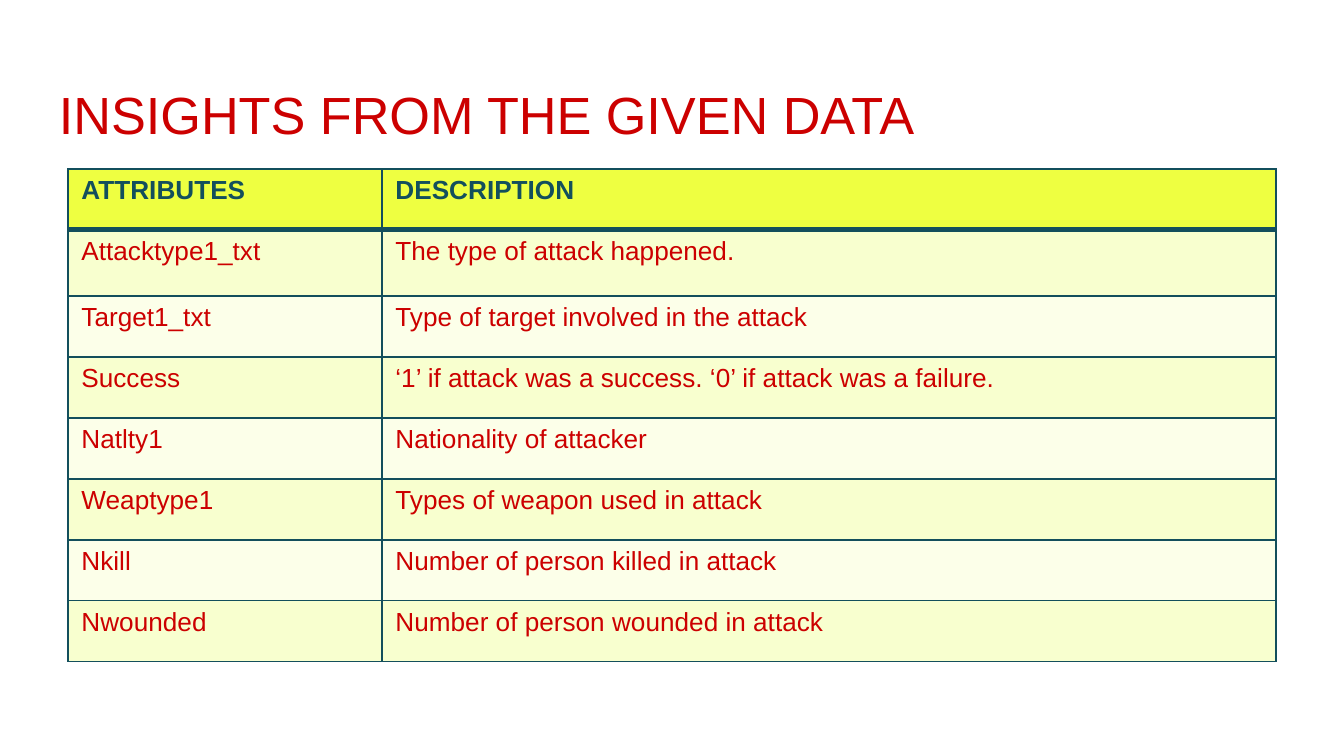
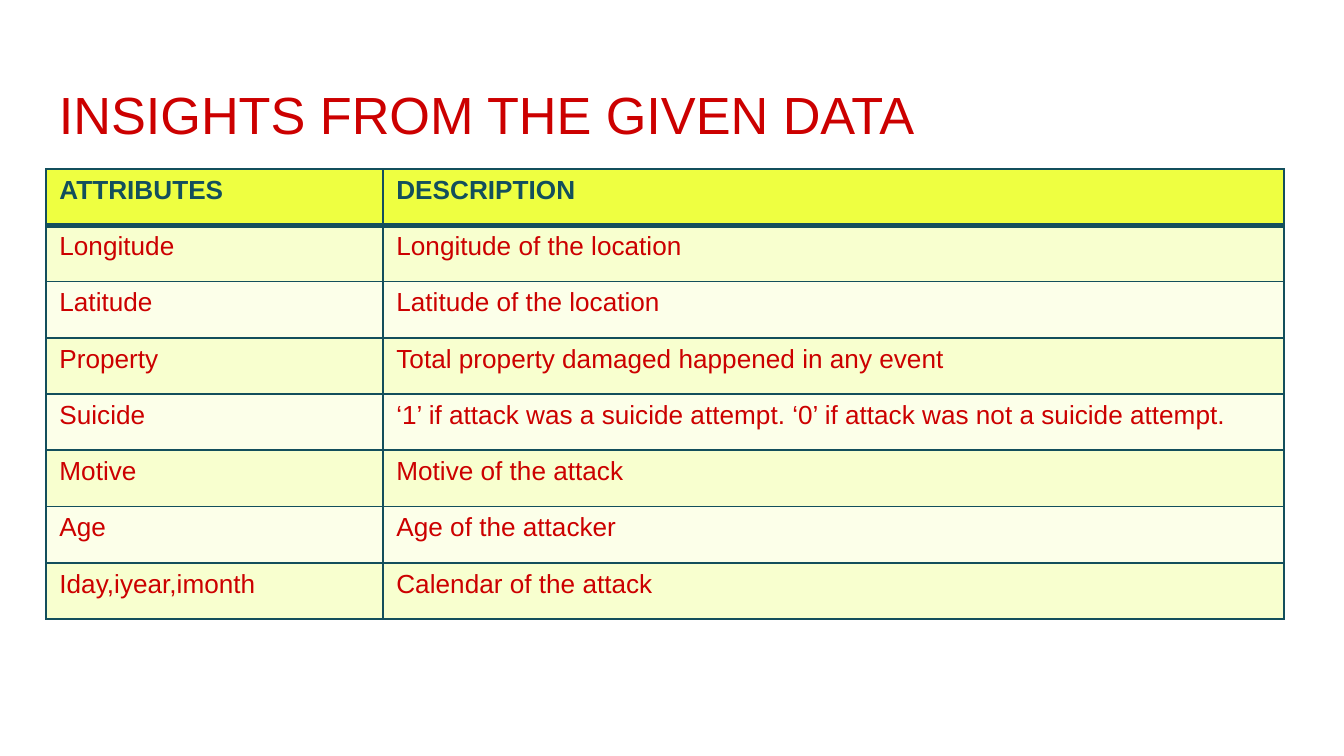
from dataclasses import dataclass

from lxml.etree import SubElement
from pptx import Presentation
from pptx.dml.color import RGBColor
from pptx.enum.text import MSO_ANCHOR, PP_ALIGN
from pptx.oxml.ns import qn
from pptx.slide import Slide
from pptx.table import _Cell
from pptx.text.text import TextFrame
from pptx.util import Pt

SCALE = 914400 / 134.4
FONT = "Arial"
COLORS = {
    "red": "CC0000",
    "teal": "134F5C",
    "header": "EEFF41",
    "odd": "F8FFCF",
    "even": "FCFFE9",
}
TITLE = "INSIGHTS FROM THE GIVEN DATA"
HEADER = ("ATTRIBUTES", "DESCRIPTION")
TABLE_TOP = 169


@dataclass(frozen=True)
class AttributeTable:
    left: int
    widths: tuple[int, int]
    height: int
    first_row_extra: int
    rows: tuple[tuple[str, str], ...]


TABLES = (
    AttributeTable(68, (314, 894), 493, 5, (
        ("Attacktype1_txt", "The type of attack happened."),
        ("Target1_txt", "Type of target involved in the attack"),
        ("Success", "‘1’ if attack was a success. ‘0’ if attack was a failure."),
        ("Natlty1", "Nationality of attacker"),
        ("Weaptype1", "Types of weapon used in attack"),
        ("Nkill", "Number of person killed in attack"),
        ("Nwounded", "Number of person wounded in attack"),
    )),
    AttributeTable(46, (337, 901), 450, 0, (
        ("Longitude", "Longitude of the location"),
        ("Latitude", "Latitude of the location"),
        ("Property", "Total property damaged happened in any event"),
        ("Suicide", "‘1’ if attack was a suicide attempt. "
                    "‘0’ if attack was not a suicide attempt."),
        ("Motive", "Motive of the attack"),
        ("Age", "Age of the attacker"),
        ("Iday,iyear,imonth", "Calendar of the attack"),
    )),
)


def px(value: float) -> int:
    return round(value * SCALE)


def color(name: str) -> RGBColor:
    return RGBColor.from_string(COLORS[name])


def add_text(tf: TextFrame, text: str, size: int, name: str, bold: bool = False) -> None:
    p = tf.paragraphs[0]
    p.alignment = PP_ALIGN.LEFT
    r = p.add_run()
    r.text = text
    r.font.name = FONT
    r.font.size = Pt(size)
    r.font.bold = bold
    r.font.color.rgb = color(name)


def set_borders(cell: _Cell, bottom: int) -> None:
    pr = cell._tc.get_or_add_tcPr()
    widths = {"a:lnL": 1, "a:lnR": 1, "a:lnT": 1, "a:lnB": bottom}
    for tag, width in widths.items():
        line = SubElement(pr, qn(tag), w=str(Pt(width)))
        fill = SubElement(line, qn("a:solidFill"))
        SubElement(fill, qn("a:srgbClr"), val=COLORS["teal"])


def add_title(s: Slide) -> None:
    sp = s.shapes.title
    sp.left, sp.top, sp.width, sp.height = px(46), px(66), px(1253), px(85)
    tf = sp.text_frame
    tf.margin_left = tf.margin_right = tf.margin_top = tf.margin_bottom = px(13)
    tf.vertical_anchor = MSO_ANCHOR.MIDDLE
    tf.word_wrap = True
    add_text(tf, TITLE, 28, "red")
    tf.paragraphs[0].line_spacing = 1.15


def add_attribute_table(s: Slide, spec: AttributeTable) -> None:
    rows = (HEADER, *spec.rows)
    frame = s.shapes.add_table(len(rows), len(HEADER), px(spec.left), px(TABLE_TOP),
                               px(sum(spec.widths)), px(spec.height))
    table = frame.table
    for column, width in zip(table.columns, spec.widths):
        column.width = px(width)
    row_height = (spec.height - spec.first_row_extra) / len(rows)
    for i, texts in enumerate(rows):
        table.rows[i].height = px(row_height + (spec.first_row_extra if i == 1 else 0))
        is_header = i == 0
        fill = "header" if is_header else "odd" if i % 2 else "even"
        for j, text in enumerate(texts):
            cell = table.cell(i, j)
            set_borders(cell, 3 if is_header else 1)
            cell.fill.solid()
            cell.fill.fore_color.rgb = color(fill)
            add_text(cell.text_frame, text, 14, "teal" if is_header else "red", is_header)


def main() -> None:
    prs = Presentation()
    prs.slide_width, prs.slide_height = px(1344), px(756)
    for spec in TABLES:
        s = prs.slides.add_slide(prs.slide_layouts[5])
        add_title(s)
        add_attribute_table(s, spec)
    prs.save("out.pptx")


main()
